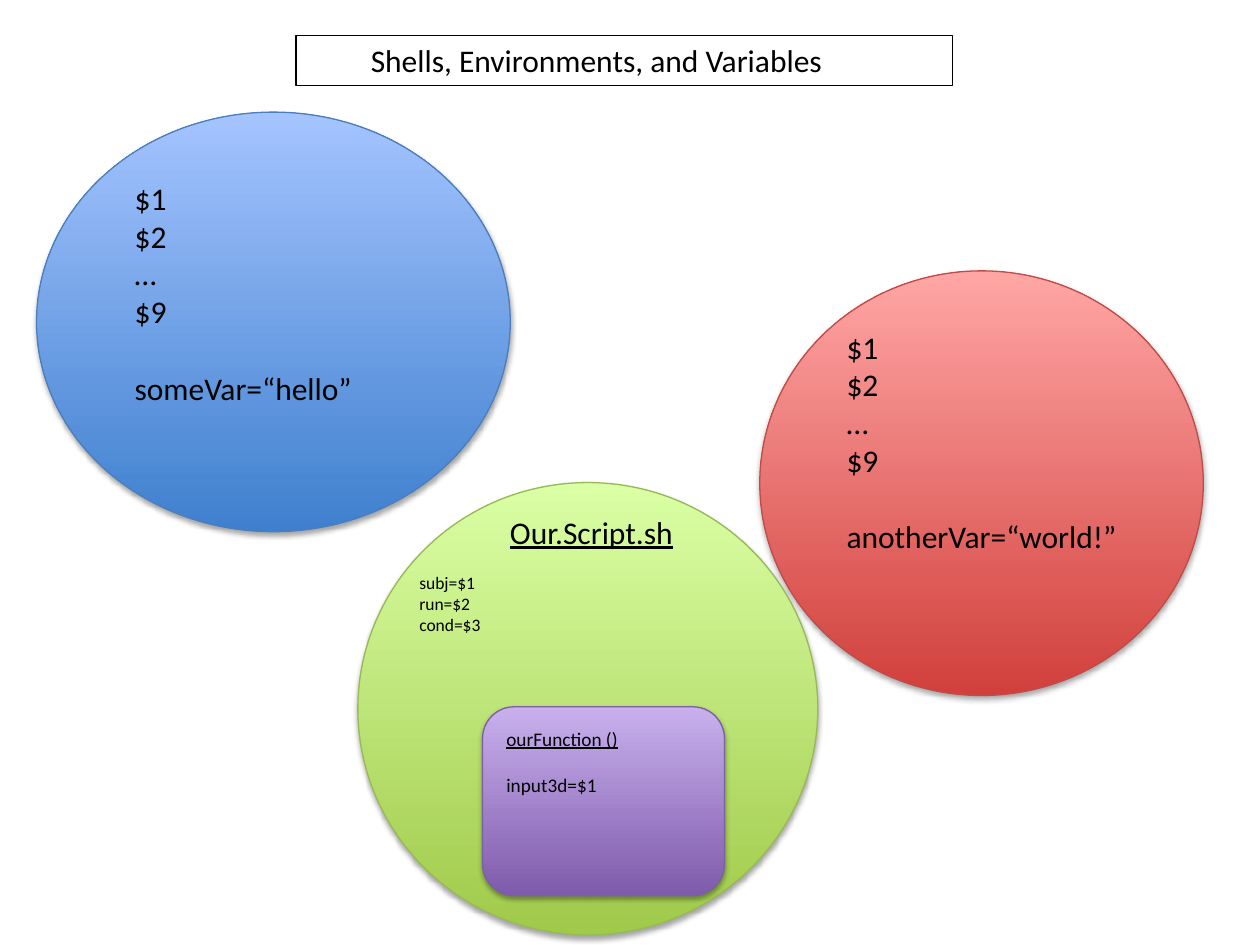
import pptx
import pptx.util
import pptx.dml.color
import pptx.enum.shapes
import pptx.enum.text
import lxml.etree

Pt = pptx.util.Pt
RGB = pptx.dml.color.RGBColor.from_string
FORM = pptx.enum.shapes.MSO_SHAPE
ALIGN = pptx.enum.text.PP_ALIGN
NS = "http://schemas.openxmlformats.org/drawingml/2006/main"

# Dark end, light end and outline of each filled shape
HUES = {
    "blue": ("3F80CE", "A4C4FF", "4B7EBC"),
    "red": ("D1403C", "FFA6A5", "BF4C48"),
    "green": ("A0CA4A", "DAFFA5", "98B955"),
    "violet": ("7F5BAB", "C8B0ED", "7D60A0"),
}
INK = "000000"

deck = pptx.Presentation()
deck.slide_width = pptx.util.Inches(10)
deck.slide_height = pptx.util.Inches(7.5)
slide = deck.slides.add_slide(deck.slide_layouts[6])

# The slide is a grid of 100 columns by 75 rows
cell = deck.slide_width / 100


def place(*spot):
    """Turn left, top, width and height in grid cells into lengths."""
    return [round(n * cell) for n in spot]


def write(shape, lines, inset=0.1):
    """Fill a shape with (text, size, space before, underline, align) lines."""
    frame = shape.text_frame
    frame.word_wrap = True
    frame.auto_size = pptx.enum.text.MSO_AUTO_SIZE.SHAPE_TO_FIT_TEXT
    frame.vertical_anchor = pptx.enum.text.MSO_ANCHOR.TOP
    frame.margin_right = pptx.util.Inches(inset)
    for i, (text, size, gap, under, align) in enumerate(lines):
        para = frame.paragraphs[0] if i == 0 else frame.add_paragraph()
        para.text = text
        para.alignment = align
        para.space_before = Pt(gap)
        font = para.font
        font.name, font.size, font.underline = "Calibri", Pt(size), under
        font.color.rgb = RGB(INK)


left = ALIGN.LEFT
args = [(t, 18, 0, False, left) for t in ("$1", "$2", "…", "$9")]
hello = args + [("someVar=“hello”", 18, 22, False, left)]
world = args + [("anotherVar=“world!”", 18, 22, False, left)]
script = [
    ("Our.Script.sh", 18, 0, True, ALIGN.CENTER),
    ("subj=$1", 10, 12.2, False, left),
    ("run=$2", 10, 0, False, left),
    ("cond=$3", 10, 0, False, left),
]
func = [
    ("ourFunction ()", 11, 0, True, left),
    ("input3d=$1", 11, 13.4, False, left),
]

# Each group: its filled shapes, then its text boxes
groups = [
    ([("blue", FORM.OVAL, (2.9, 8.9, 37.6, 33.3))],
     [(hello, (9.7, 13.7, 22, 19.2), 0.1)]),
    ([("red", FORM.OVAL, (60.3, 21.5, 35.2, 33.7))],
     [(world, (66.2, 25.5, 26.2, 19.2), 0.1)]),
    ([("green", FORM.OVAL, (28.4, 38.3, 36.5, 35.9)),
      ("violet", FORM.ROUNDED_RECTANGLE, (38.3, 56.1, 19.2, 15))],
     [(script, (32.3, 40.2, 30.3, 10.8), 0.2),
      (func, (39.2, 57.2, 14.2, 6.6), 0.1)]),
]

for forms, notes in groups:
    group = slide.shapes.add_group_shape().shapes
    for hue, form, spot in forms:
        dark, light, edge = HUES[hue]
        shape = group.add_shape(form, *place(*spot))
        shape.fill.gradient()
        shape.fill.gradient_angle = 90
        for stop, tone in zip(shape.fill.gradient_stops, (dark, light)):
            stop.color.rgb = RGB(tone)
        shape.line.color.rgb = RGB(edge)
        shape.line.width = Pt(0.75)
        shape.shadow.inherit = False
        glow = shape.element.spPr.find(f"{{{NS}}}effectLst")
        glow.append(lxml.etree.fromstring(
            f'<a:outerShdw xmlns:a="{NS}" blurRad="{Pt(3.1)}" dist="{Pt(1.8)}" '
            f'dir="5400000" rotWithShape="0"><a:srgbClr val="{INK}">'
            '<a:alpha val="35000"/></a:srgbClr></a:outerShdw>'))
    for lines, spot, inset in notes:
        write(group.add_textbox(*place(*spot)), lines, inset)

title = slide.shapes.add_shape(FORM.RECTANGLE, *place(23.5, 2.8, 52.1, 4))
title.fill.background()
title.line.color.rgb = RGB(INK)
title.line.width = Pt(0.75)
title.shadow.inherit = False
write(title, [("Shells, Environments, and Variables", 18, 0, False, ALIGN.CENTER)], 0.54)

deck.save("out.pptx")
